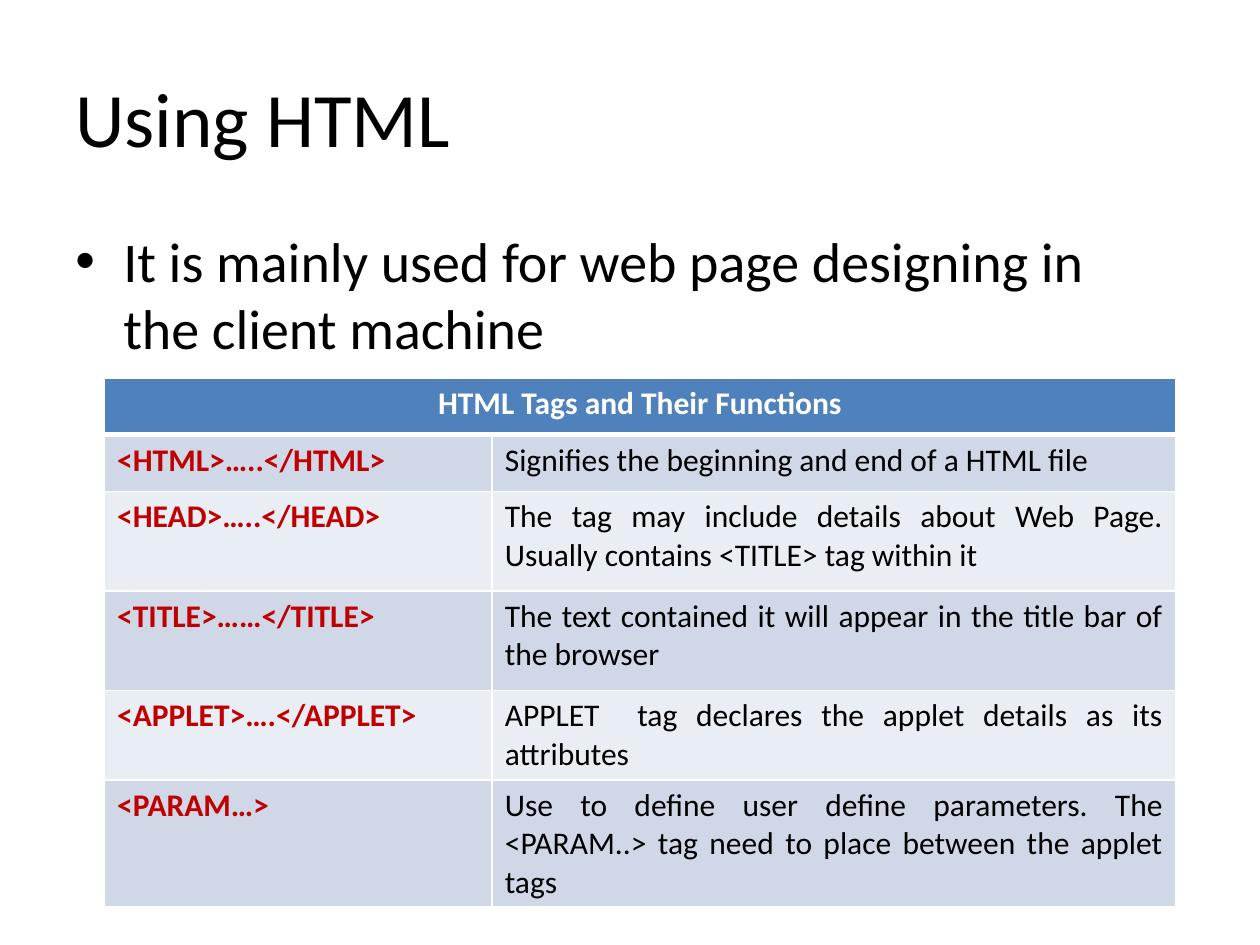
"""Build the "Using HTML" slide with its table of tags."""
from dataclasses import dataclass
from typing import NamedTuple

from lxml.etree import SubElement
from pptx import Presentation
from pptx.dml.color import RGBColor
from pptx.enum.text import MSO_ANCHOR, PP_ALIGN
from pptx.oxml.ns import qn
from pptx.util import Inches, Pt

WIDTH, HEIGHT = 10, 7.5


@dataclass(frozen=True)
class Theme:
    font: str = "Calibri"
    title_size: int = 44
    body_size: int = 32
    table_size: int = 18
    ink: str = "000000"
    paper: str = "FFFFFF"
    tag: str = "C00000"
    header: str = "4F81BD"
    bands: tuple[str, str] = ("D0D8E8", "E9EDF4")
    thin: int = 1
    thick: int = 3


class Area(NamedTuple):
    left: float
    top: float
    width: float
    height: float

    def lengths(self) -> tuple:
        return tuple(Inches(share * side) for share, side in zip(self, (WIDTH, HEIGHT) * 2))


class TagRow(NamedTuple):
    tag: str
    function: str
    height: float


THEME = Theme()
TITLE_AREA = Area(0.05, 0.04, 0.9, 1 / 6)
BODY_AREA = Area(0.05, 0.233, 0.858, 1 / 6)
TABLE_AREA = Area(0.083, 0.4, 0.85, 0.56)
COLUMN_SHARES = (0.362, 0.638)
HEADER_HEIGHT = 0.45
TAG_ROWS = (
    TagRow("<HTML>…..</HTML>", "Signifies the beginning and end of a HTML file", 0.45),
    TagRow("<HEAD>…..</HEAD>",
           "The tag may include details about Web Page. Usually contains <TITLE> tag within it", 0.79),
    TagRow("<TITLE>……</TITLE>",
           "The text contained it will appear in the title bar of the browser", 0.79),
    TagRow("<APPLET>….</APPLET>", "APPLET  tag declares the applet details as its attributes", 0.71),
    TagRow("<PARAM…>",
           "Use to define user define parameters. The <PARAM..> tag need to place between the applet tags",
           1.01),
)


def add_run(paragraph, text: str, size: int, color: str, bold: bool = False) -> None:
    """Append one styled run to a paragraph."""
    run = paragraph.add_run()
    run.text = text
    run.font.name = THEME.font
    run.font.size = Pt(size)
    run.font.bold = bold
    run.font.color.rgb = RGBColor.from_string(color)


def add_text(slide, area: Area, text: str, size: int, anchor: MSO_ANCHOR):
    """Add a wrapped text box and return its paragraph."""
    frame = slide.shapes.add_textbox(*area.lengths()).text_frame
    frame.word_wrap = True
    frame.vertical_anchor = anchor
    paragraph = frame.paragraphs[0]
    add_run(paragraph, text, size, THEME.ink)
    return paragraph


def add_bullet(paragraph, indent: float) -> None:
    """Give a paragraph a hanging round bullet."""
    properties = paragraph._p.get_or_add_pPr()
    properties.set("marL", str(Inches(indent)))
    properties.set("indent", str(-Inches(indent)))
    SubElement(properties, qn("a:buFont"), typeface="Arial")
    SubElement(properties, qn("a:buChar"), char="•")


def style_cell(cell, fill: str, top: int, bottom: int) -> None:
    """Set the borders of a cell, then its fill."""
    properties = cell._tc.get_or_add_tcPr()
    widths = {"a:lnL": THEME.thin, "a:lnR": THEME.thin, "a:lnT": top, "a:lnB": bottom}
    for side, width in widths.items():
        line = SubElement(properties, qn(side), w=str(Pt(width)))
        SubElement(SubElement(line, qn("a:solidFill")), qn("a:srgbClr"), val=THEME.paper)
    cell.fill.solid()
    cell.fill.fore_color.rgb = RGBColor.from_string(fill)


def write_cell(cell, text: str, color: str, bold: bool, align: PP_ALIGN) -> None:
    """Write one aligned run into a cell."""
    paragraph = cell.text_frame.paragraphs[0]
    paragraph.alignment = align
    add_run(paragraph, text, THEME.table_size, color, bold)


def add_tag_table(slide) -> None:
    """Add the table of tags under a merged heading."""
    table = slide.shapes.add_table(
        len(TAG_ROWS) + 1, len(COLUMN_SHARES), *TABLE_AREA.lengths()).table
    for column, share in zip(table.columns, COLUMN_SHARES):
        column.width = Inches(share * TABLE_AREA.width * WIDTH)
    table.rows[0].height = Inches(HEADER_HEIGHT)
    for column in range(len(COLUMN_SHARES)):
        style_cell(table.cell(0, column), THEME.header, THEME.thin, THEME.thick)
    heading = table.cell(0, 0)
    heading.merge(table.cell(0, len(COLUMN_SHARES) - 1))
    write_cell(heading, "HTML Tags and Their Functions", THEME.paper, True, PP_ALIGN.CENTER)
    for index, entry in enumerate(TAG_ROWS, start=1):
        table.rows[index].height = Inches(entry.height)
        band = THEME.bands[(index - 1) % len(THEME.bands)]
        top = THEME.thick if index == 1 else THEME.thin
        contents = ((entry.tag, THEME.tag, True), (entry.function, THEME.ink, False))
        for column, (text, color, bold) in enumerate(contents):
            cell = table.cell(index, column)
            style_cell(cell, band, top, THEME.thin)
            write_cell(cell, text, color, bold, PP_ALIGN.JUSTIFY)


def main() -> None:
    """Build and save the slide."""
    deck = Presentation()
    deck.slide_width, deck.slide_height = Inches(WIDTH), Inches(HEIGHT)
    slide = deck.slides.add_slide(deck.slide_layouts[6])
    add_text(slide, TITLE_AREA, "Using HTML", THEME.title_size, MSO_ANCHOR.MIDDLE)
    usage = add_text(slide, BODY_AREA,
                     "It is mainly used for web page designing in the client machine",
                     THEME.body_size, MSO_ANCHOR.TOP)
    add_bullet(usage, 0.38)
    add_tag_table(slide)
    deck.save("out.pptx")


if __name__ == "__main__":
    main()
